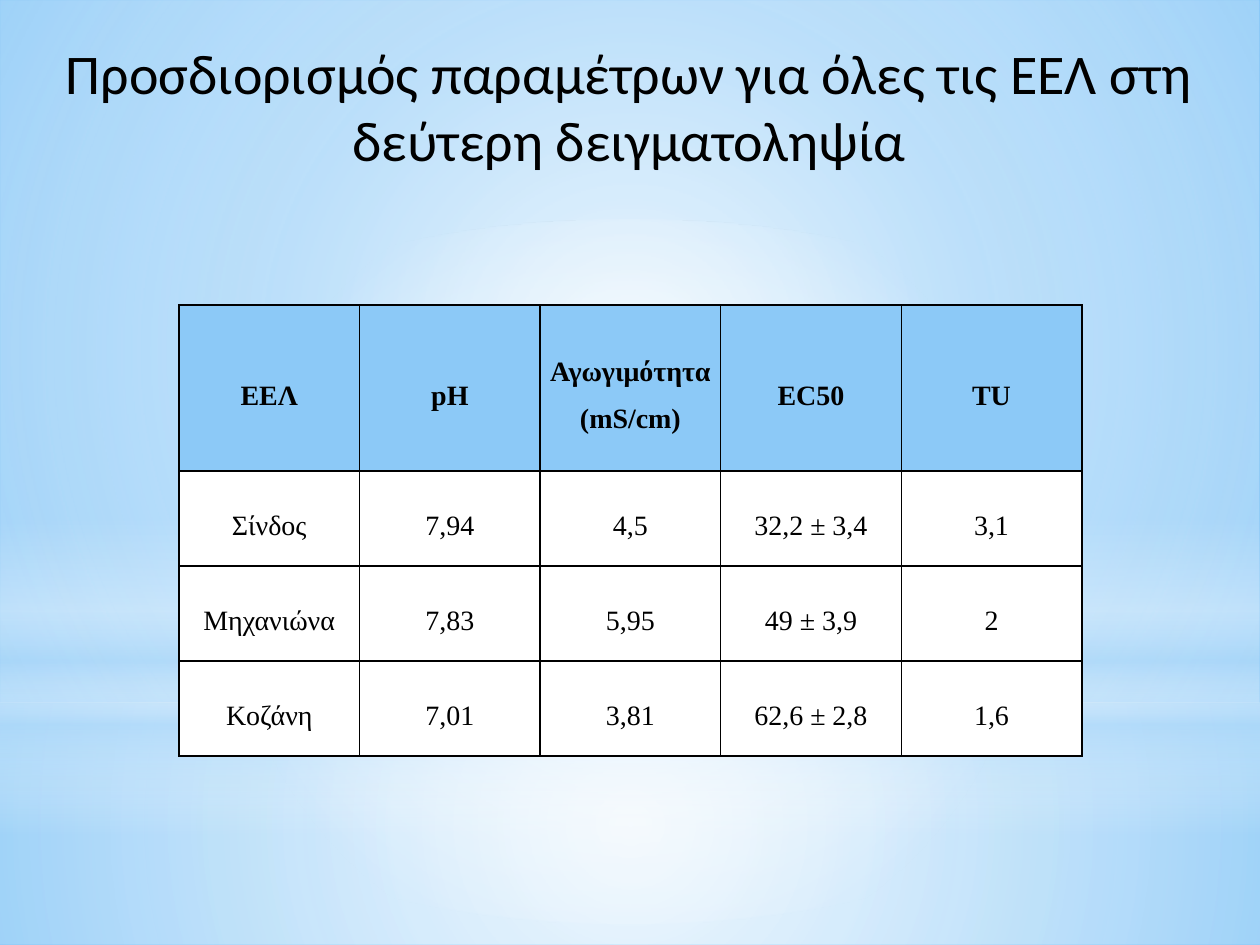
from lxml.etree import SubElement
from pptx import Presentation
from pptx.dml.color import RGBColor
from pptx.enum.shapes import MSO_SHAPE as Shape
from pptx.enum.text import MSO_ANCHOR as Anchor, MSO_AUTO_SIZE as AutoSize, PP_ALIGN as Align
from pptx.oxml.ns import qn
from pptx.util import Pt

PX = 914400 / 126
COLORS = {"sky": "4FADF3", "white": "FFFFFF", "pale": "B4DCFA", "header": "8CC9F7", "black": "000000"}

# Gradient stops: position, colour, opacity (all in percent)
LOWER_GLOW = [(0, "white", 91), (37, "white", 76), (100, "pale", 79)]
UPPER_GLOW = [(0, "white", 89), (48, "white", 62), (100, "pale", 79)]
HORIZON = [(0, "white", 0), (29, "white", 30), (45, "pale", 40),
           (55, "white", 26), (65, "pale", 60), (100, "white", 0)]
HALO = [(0, "white", 100), (56, "white", 0)]

TITLE = "Προσδιορισμός παραμέτρων για όλες τις ΕΕΛ στη δεύτερη δειγματοληψία"
MEASUREMENTS = [
    ["ΕΕΛ", "pH", "Αγωγιμότητα (mS/cm)", "EC50", "TU"],
    ["Σίνδος", "7,94", "4,5", "32,2 ± 3,4", "3,1"],
    ["Μηχανιώνα", "7,83", "5,95", "49 ± 3,9", "2"],
    ["Κοζάνη", "7,01", "3,81", "62,6 ± 2,8", "1,6"],
]


def px(*lengths):
    return [round(length * PX) for length in lengths]


def rgb(name):
    return RGBColor.from_string(COLORS[name])


def child(parent, tag, **attributes):
    return SubElement(parent, qn(tag), {key: str(value) for key, value in attributes.items()})


class SlideBuilder:
    def __init__(self, deck):
        self.slide = deck.slides.add_slide(deck.slide_layouts[5])

    def background(self, color):
        fill = self.slide.background.fill
        fill.solid()
        fill.fore_color.rgb = rgb(color)

    def glow(self, kind, box, stops, radial=True):
        """Add a borderless shape with a translucent gradient."""
        shape = self.slide.shapes.add_shape(kind, *px(*box))
        shape.shadow.inherit = False
        shape.line.fill.background()
        shape.fill.gradient()
        gradient = shape._element.spPr.find(qn("a:gradFill"))
        for part in list(gradient):
            gradient.remove(part)
        stop_list = child(gradient, "a:gsLst")
        for position, color, opacity in stops:
            stop = child(stop_list, "a:gs", pos=position * 1000)
            tint = child(stop, "a:srgbClr", val=COLORS[color])
            child(tint, "a:alpha", val=opacity * 1000)
        if radial:
            circle = child(gradient, "a:path", path="circle")
            child(circle, "a:fillToRect", l=50000, t=50000, r=50000, b=50000)
        else:
            child(gradient, "a:lin", ang=90 * 60000, scaled=0)

    def format_text(self, paragraph, font, size, bold=False):
        paragraph.alignment = Align.CENTER
        for run in paragraph.runs:
            run.font.name = font
            run.font.size = Pt(size)
            run.font.bold = bold
            run.font.color.rgb = rgb("black")

    def title(self, text, box):
        title = self.slide.shapes.title
        title.left, title.top, title.width, title.height = px(*box)
        frame = title.text_frame
        frame.text = text
        frame.word_wrap = True
        frame.auto_size = AutoSize.SHAPE_TO_FIT_TEXT
        self.format_text(frame.paragraphs[0], "Calibri", 32)
        self.slide.shapes._spTree.append(title._element)  # in front of the glows

    def border(self, cell):
        properties = cell._tc.get_or_add_tcPr()
        for index, side in enumerate(("a:lnL", "a:lnR", "a:lnT", "a:lnB")):
            line = child(properties, side, w=Pt(1))
            child(child(line, "a:solidFill"), "a:srgbClr", val=COLORS["black"])
            properties.insert(index, line)  # borders come before the fill

    def table(self, rows, box, row_heights):
        table = self.slide.shapes.add_table(len(rows), len(rows[0]), *px(*box)).table
        for row, height in zip(table.rows, row_heights):
            row.height = px(height)[0]
        for r, values in enumerate(rows):
            for c, value in enumerate(values):
                cell = table.cell(r, c)
                cell.text = value
                cell.vertical_anchor = Anchor.MIDDLE
                cell.margin_left, cell.margin_right, cell.margin_top, cell.margin_bottom = px(9, 9, 0, 0)
                cell.fill.solid()
                cell.fill.fore_color.rgb = rgb("white" if r else "header")
                self.border(cell)
                paragraph = cell.text_frame.paragraphs[0]
                paragraph.line_spacing = 1.5
                self.format_text(paragraph, "Times New Roman", 16, bold=r == 0)


def main():
    deck = Presentation()
    deck.slide_width, deck.slide_height = px(1260, 945)
    builder = SlideBuilder(deck)
    builder.background("sky")
    builder.glow(Shape.RECTANGLE, (0, 703, 1260, 242), LOWER_GLOW)
    builder.glow(Shape.RECTANGLE, (0, 0, 1260, 703), UPPER_GLOW)
    builder.glow(Shape.RECTANGLE, (0, 519, 1260, 315), HORIZON, radial=False)
    builder.glow(Shape.OVAL, (0, 220, 1260, 703), HALO)
    builder.title(TITLE, (31, 31, 1197, 149))
    builder.table(MEASUREMENTS, (179, 305, 903, 451), [166, 95, 95, 95])
    deck.save("out.pptx")


if __name__ == "__main__":
    main()
